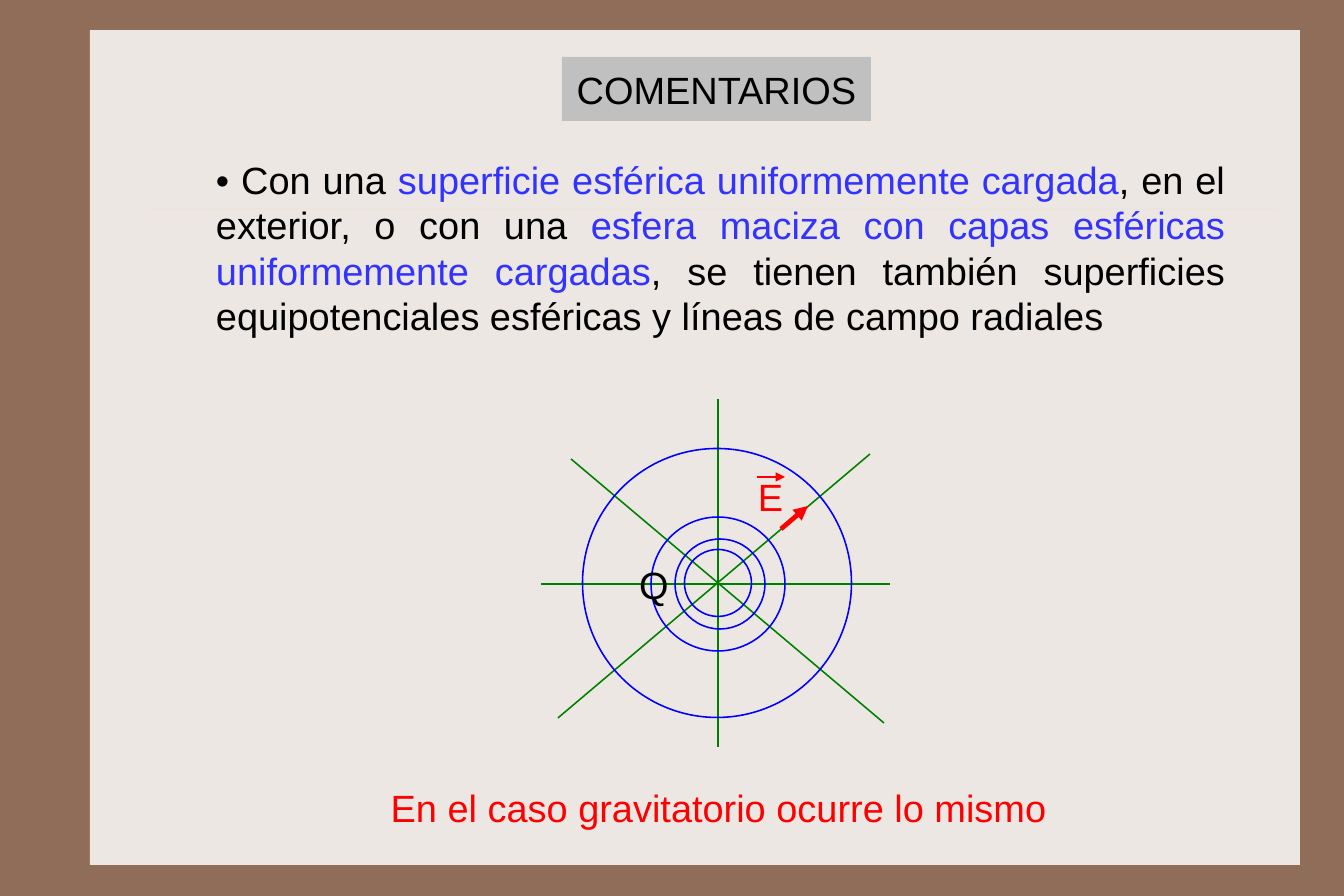
import pptx
import pptx.dml.color
import pptx.enum.shapes
import pptx.enum.text
import pptx.oxml
import pptx.oxml.ns
import pptx.util

PX = 11.8125 * 914400 / 1344
COLORS = {
    "frame": "906D58", "panel": "EDE7E3", "rule": "CBBD83", "title": "C0C0C0",
    "black": "000000", "accent": "3333FF", "field": "008000",
    "surface": "0000FF", "red": "FF0000",
}
RGB = {name: pptx.dml.color.RGBColor.from_string(c) for name, c in COLORS.items()}
NS = pptx.oxml.ns.nsdecls("a")
SHAPE = pptx.enum.shapes.MSO_SHAPE
ALIGN = pptx.enum.text.PP_ALIGN
ANCHOR = pptx.enum.text.MSO_ANCHOR

prs = pptx.Presentation()
prs.slide_width, prs.slide_height = round(1344 * PX), round(896 * PX)
s = prs.slides.add_slide(prs.slide_layouts[6])
s.background.fill.solid()
s.background.fill.fore_color.rgb = RGB["frame"]


def add_line(ends, color, width, arrow=False):
    line = s.shapes.add_connector(
        pptx.enum.shapes.MSO_CONNECTOR.STRAIGHT, *[round(v * PX) for v in ends])
    line.line.color.rgb = RGB[color]
    line.line.width = pptx.util.Pt(width)
    if arrow:
        ln = line._element.spPr.find(pptx.oxml.ns.qn("a:ln"))
        ln.append(pptx.oxml.parse_xml(f'<a:tailEnd {NS} type="triangle"/>'))
    line._element.spPr.append(pptx.oxml.parse_xml(f"<a:effectLst {NS}/>"))
    return line


def add_text(box, runs, align, anchor, inset, wrap=True):
    sp = s.shapes.add_textbox(*[round(v * PX) for v in box])
    tf = sp.text_frame
    tf.word_wrap = wrap
    tf.vertical_anchor = anchor
    tf.margin_left = tf.margin_right = round(inset[0] * PX)
    tf.margin_top = tf.margin_bottom = round(inset[1] * PX)
    p = tf.paragraphs[0]
    p.alignment = align
    for text, color in runs:
        r = p.add_run()
        r.text = text
        r.font.name = "Arial"
        r.font.size = pptx.util.Pt(24)
        r.font.color.rgb = RGB[color]
    return sp


# Panel and faint rule
panel = s.shapes.add_shape(SHAPE.RECTANGLE, *[round(v * PX) for v in (90, 30, 1210, 835)])
panel.shadow.inherit = False
panel.fill.solid()
panel.fill.fore_color.rgb = RGB["panel"]
panel.line.fill.background()
rule = add_line((149, 209, 1277, 209), "rule", 0.25)
rule_color = rule._element.spPr.find(".//" + pptx.oxml.ns.qn("a:srgbClr"))
rule_color.append(pptx.oxml.parse_xml(f'<a:alpha {NS} val="30000"/>'))

# Comment and title
add_text((181, 145, 1079, 205), [
    ("• Con una ", "black"),
    ("superficie esférica uniformemente cargada", "accent"),
    (", en el exterior, o con una ", "black"),
    ("esfera maciza con capas esféricas uniformemente cargadas", "accent"),
    (", se tienen también superficies equipotenciales esféricas y líneas de campo radiales",
     "black"),
], ALIGN.JUSTIFY, ANCHOR.MIDDLE, (35, 10))
title = add_text((562, 57, 309, 64), [("COMENTARIOS", "black")],
                 ALIGN.CENTER, ANCHOR.MIDDLE, (14, 9), wrap=False)
title.fill.solid()
title.fill.fore_color.rgb = RGB["title"]

# Radial field lines
for ends in [(541, 584, 890, 584), (718, 747, 718, 399),
             (558, 718, 870, 454), (571, 459, 884, 723)]:
    add_line(ends, "field", 1)

# Equipotential spheres: centre x, centre y, diameter
for cx, cy, d in [(718, 583, 67), (718, 584, 134), (717, 583, 269), (720, 584, 90)]:
    sphere = s.shapes.add_shape(
        SHAPE.OVAL, *[round(v * PX) for v in (cx - d / 2, cy - d / 2, d, d)])
    sphere.shadow.inherit = False
    sphere.fill.background()
    sphere.line.color.rgb = RGB["surface"]
    sphere.line.width = pptx.util.Pt(1)

# Charge and field vector
add_text((628, 556, 52, 57), [("Q", "black")], ALIGN.LEFT, ANCHOR.TOP, (11, 6), wrap=False)
add_line((781, 529, 808, 506), "red", 3, arrow=True)
label = add_text((744, 469, 53, 63), [("E", "red")], ALIGN.CENTER, ANCHOR.TOP, (11, 10))
label.text_frame.paragraphs[0].line_spacing = 0.9
add_line((757, 477, 785, 477), "red", 1, arrow=True)

# Closing remark
add_text((379, 784, 679, 46), [("En el caso gravitatorio ocurre lo mismo", "red")],
         ALIGN.CENTER, ANCHOR.MIDDLE, (11, 6))

prs.save("out.pptx")
